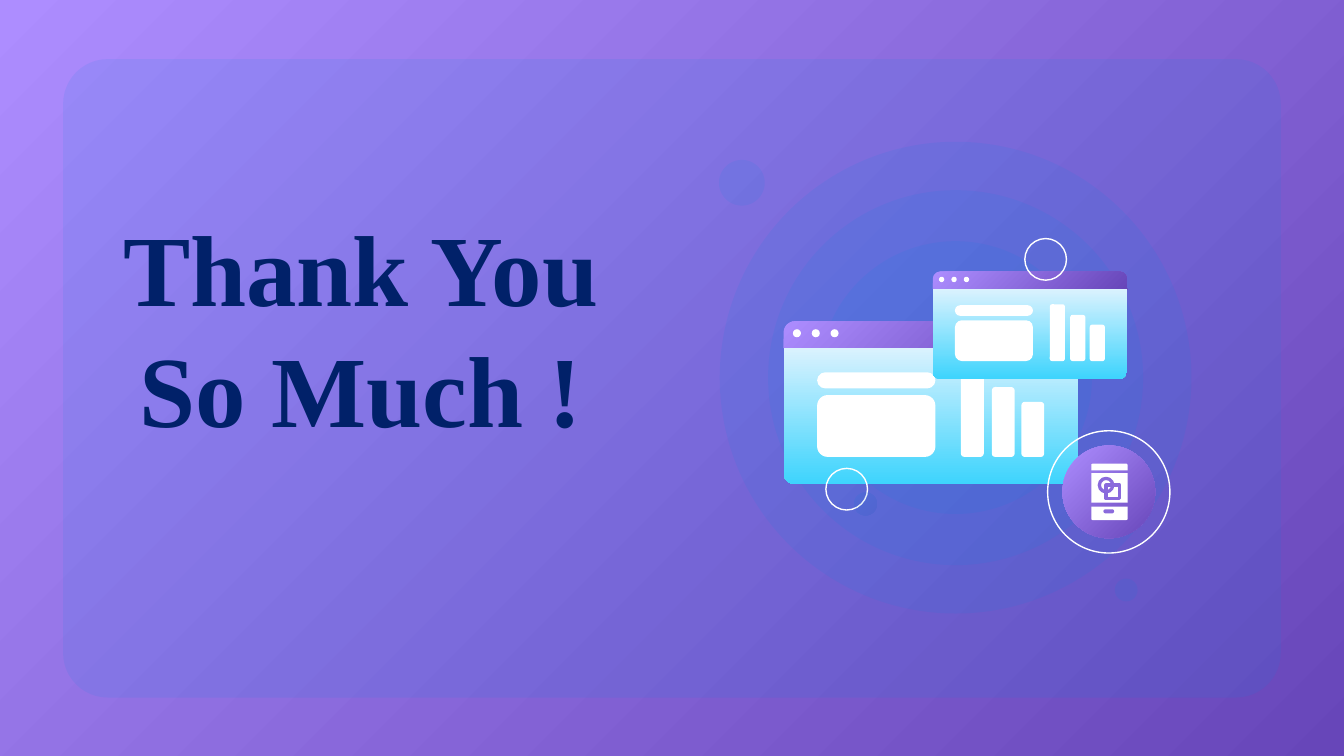
from lxml.etree import SubElement
from pptx import Presentation
from pptx.dml.color import RGBColor
from pptx.enum.shapes import MSO_SHAPE
from pptx.enum.text import MSO_ANCHOR, PP_ALIGN
from pptx.oxml.ns import qn
from pptx.util import Inches, Pt

WHITE, BLUE, NAVY, VIOLET = "FFFFFF", "0388E5", "012169", "8A6ADC"
PURPLE = ("AD8DFF", "6746B9")
CYAN = ("DAF2FE", "3ED4FD")
OVAL, RECT = MSO_SHAPE.OVAL, MSO_SHAPE.RECTANGLE
ROUND, TAB = MSO_SHAPE.ROUNDED_RECTANGLE, MSO_SHAPE.ROUND_2_SAME_RECTANGLE


def color(code):
    return RGBColor.from_string(code)


def paint(fill, tint, angle=45):
    """Fill with nothing, one colour, or a pair as a gradient (clockwise angle)."""
    if tint is None:
        fill.background()
    elif isinstance(tint, str):
        fill.solid()
        fill.fore_color.rgb = color(tint)
    else:
        fill.gradient()
        fill.gradient_angle = 360 - angle
        for stop, code in zip(fill.gradient_stops, tint):
            stop.color.rgb = color(code)


def add_form(slide, kind, box, tint=None, angle=45, adj=(), alpha=None,
             edge=None, width=0.75):
    form = slide.shapes.add_shape(kind, *map(Inches, box))
    form.shadow.inherit = False
    for i, value in enumerate(adj):
        form.adjustments[i] = value
    paint(form.fill, tint, angle)
    if alpha:
        for node in form.element.spPr.iter(qn("a:srgbClr")):
            SubElement(node, qn("a:alpha"), val=str(alpha * 1000))
    paint(form.line.fill, edge)
    if edge:
        form.line.width = Pt(width)


def add_disc(slide, x, y, size, tint=None, **style):
    """Add a circle by its centre and diameter."""
    box = (x - size / 2, y - size / 2, size, size)
    add_form(slide, OVAL, box, tint, **style)


def add_title(slide):
    box = slide.shapes.add_textbox(*map(Inches, (0.72, 2.16, 3.93, 1.27)))
    frame = box.text_frame
    layout = {"word_wrap": True, "vertical_anchor": MSO_ANCHOR.BOTTOM}
    layout |= {f"margin_{side}": Inches(0.1)
               for side in ("left", "top", "right", "bottom")}
    for name, value in layout.items():
        setattr(frame, name, value)
    para = frame.paragraphs[0]
    para.alignment = PP_ALIGN.CENTER
    run = para.add_run()
    run.text = "Thank You So Much !"
    style = {"name": "Times New Roman", "size": Pt(54), "bold": True}
    for name, value in style.items():
        setattr(run.font, name, value)
    run.font.color.rgb = color(NAVY)


def add_window(slide, left, top, scale=1):
    """Add a browser window with its buttons, panels and falling bars."""
    def part(kind, x, y, w, h, tint=WHITE, **style):
        box = (left + x * scale, top + y * scale, w * scale, h * scale)
        add_form(slide, kind, box, tint, **style)

    part(TAB, 0, 0, 2.19, 0.2, PURPLE, adj=(0.42, 0))
    part(TAB, 0, 0.2, 2.19, 1.01, CYAN, angle=90, adj=(0, 0.08))
    for i in range(3):
        part(OVAL, 0.07 + i * 0.14, 0.06, 0.06, 0.06)
    base = 1.01
    for x, high in ((1.32, 0.64), (1.55, 0.52), (1.77, 0.41)):
        part(ROUND, x, base - high, 0.17, high, adj=(0.15,))
    part(ROUND, 0.25, 0.38, 0.88, 0.12, adj=(0.5,))
    part(ROUND, 0.25, 0.55, 0.88, 0.46, adj=(0.17,))


def add_badge(slide):
    """Add the ringed disc with the phone sign."""
    x, y = 8.25, 3.66
    add_disc(slide, x, y, 0.91, edge=WHITE)
    add_disc(slide, x, y, 0.69, PURPLE)
    left, wide = 8.12, 0.27
    add_form(slide, TAB, (left, 3.45, wide, 0.05), WHITE, adj=(0.2, 0))
    add_form(slide, RECT, (left, 3.52, wide, 0.22), WHITE)
    add_form(slide, TAB, (left, 3.77, wide, 0.1), WHITE, adj=(0, 0.1))
    add_disc(slide, 8.23, 3.61, 0.1, edge=VIOLET, width=1.75)
    add_form(slide, RECT, (8.23, 3.61, 0.1, 0.1), edge=VIOLET, width=1.75)
    add_form(slide, ROUND, (8.21, 3.79, 0.08, 0.03), VIOLET, adj=(0.5,))


def main():
    deck = Presentation()
    deck.slide_width = Inches(10)
    deck.slide_height = deck.slide_width * 9 // 16
    slide = deck.slides.add_slide(deck.slide_layouts[6])
    paint(slide.background.fill, PURPLE)

    add_form(slide, ROUND, (0.47, 0.44, 9.06, 4.75), BLUE, alpha=10, adj=(0.07,))
    add_title(slide)
    for size in (3.51, 2.79, 2.03):
        add_disc(slide, 7.11, 2.81, size, BLUE, alpha=10)
    add_window(slide, 5.83, 2.39)
    add_window(slide, 6.94, 2.02, 0.66)
    add_badge(slide)

    for x, y in ((6.3, 3.64), (7.78, 1.93)):
        add_disc(slide, x, y, 0.31, edge=WHITE)
    for x, y, size, tint in ((6.44, 3.75, 0.17, (BLUE, "0048A7")),
                             (5.52, 1.36, 0.34, BLUE),
                             (8.38, 4.39, 0.17, BLUE)):
        add_disc(slide, x, y, size, tint, alpha=10)
    deck.save("out.pptx")


if __name__ == "__main__":
    main()
